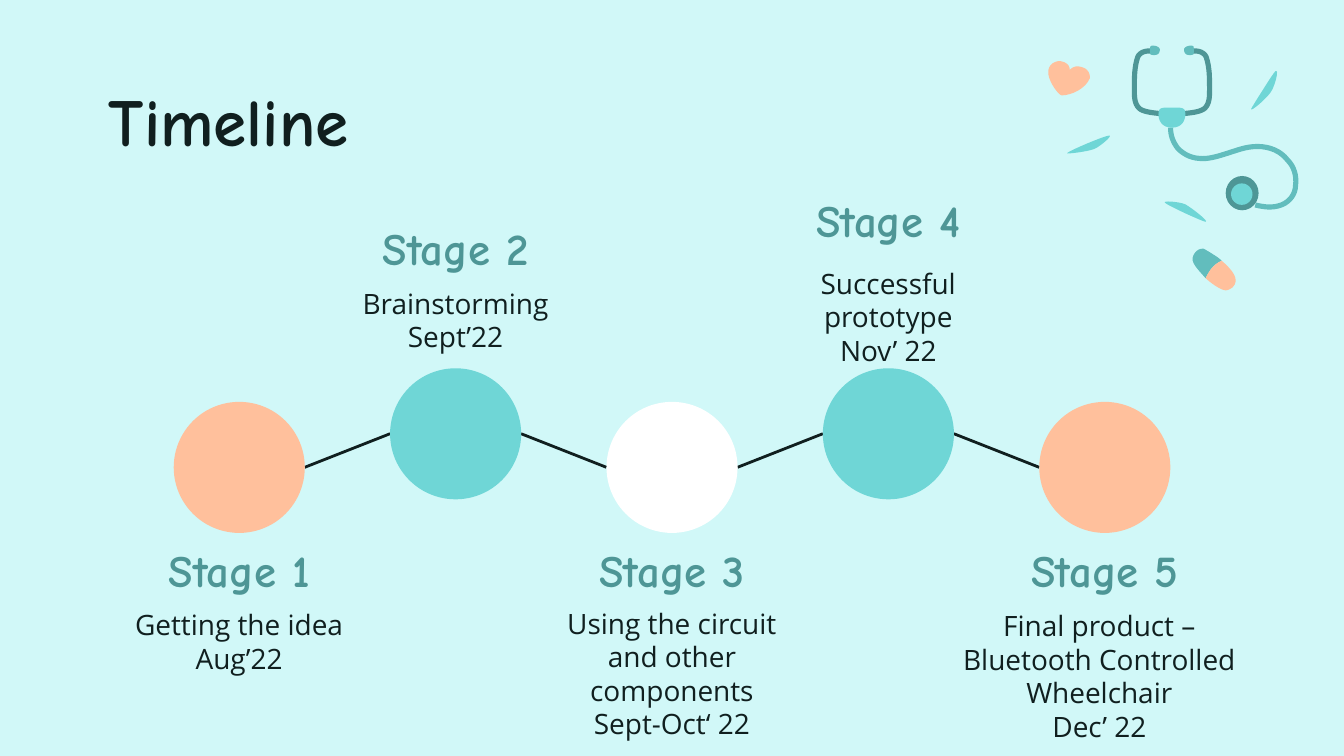
from lxml.etree import SubElement
from pptx import Presentation
from pptx.dml.color import RGBColor
from pptx.enum.shapes import MSO_CONNECTOR as CONN, MSO_SHAPE as SHAPE
from pptx.enum.text import MSO_ANCHOR as ANCHOR, PP_ALIGN as ALIGN
from pptx.oxml.ns import qn
from pptx.util import Inches, Pt

UNIT = Inches(0.01)
COLS, ROWS = 1000, 562.5
INK, TEAL, MID, DEEP, PEACH = "101F1F", "6FD6D6", "62BDBD", "4E9696", "FFC09C"
TITLE = dict(name="Comic Neue", size=Pt(36), bold=True)
HEADING = dict(name="Comic Neue", size=Pt(24), bold=True)
BODY = dict(name="Open Sans", size=Pt(15), bold=False)

STAGES = [
    (PEACH, 404, 442, 0, 200, ["Getting the idea", "Aug’22"]),
    (TEAL, 165, 203, 0, 200, ["Brainstorming", "Sept’22"]),
    ("FFFFFF", 404, 441, 0, 200, ["Using the circuit and other components", "Sept-Oct‘ 22"]),
    (TEAL, 144, 188, 0, 200, ["Successful prototype", "Nov’ 22"]),
    (PEACH, 404, 443, -4, 228, ["Final product –", "Bluetooth Controlled Wheelchair", "Dec’ 22"]),
]

HOSE = [(101, 65), (101, 71), (103, 76), (106.5, 80.5), (112, 86), (118, 88), (125, 88),
        (131, 88), (137, 86), (143.5, 84), (150, 82), (157, 79), (165.5, 79),
        (175, 79), (183, 82.5), (188, 89), (193, 94), (195, 101), (194, 108),
        (194, 114), (190, 120), (183.5, 122.5), (177, 125), (170, 124), (164, 122.5)]
EARPIECE = [(87, 8), (82, 7.5), (78, 9), (76.5, 12.5), (74, 20), (74, 28), (74, 36),
            (74, 42), (74, 47), (77.5, 50.5), (80, 53), (87, 54), (93, 54.5)]
EARTIP = [(88, 4), (87, 4), (87, 4), (86, 4.5), (85.5, 6), (85.5, 9), (86, 10.5),
          (87, 11), (88, 11), (89, 11), (92, 11), (93, 9), (93, 7), (93, 5), (90, 4), (88, 4)]
JOINT = [(102, 50), (94, 50), (92, 50), (92, 55), (92, 59), (94, 65), (102, 65),
         (110, 65), (112, 59), (112, 55), (112, 50), (110, 50), (102, 50)]
CHARMS = [
    (MID, [(125, 155), (120, 155), (118, 160), (118, 160), (115, 165), (122, 171), (127, 177),
           (129, 173), (132, 167), (139, 164), (136, 161), (132, 159), (129, 157),
           (127, 156), (126, 155), (125, 155)]),
    (PEACH, [(139, 164), (132, 167), (129, 173), (127, 177), (135, 184), (140, 186), (142, 186),
             (144, 186), (145, 185), (147, 184), (153, 178), (147, 171), (139, 164)]),
    (PEACH, [(35, 20), (32, 19), (29, 19), (26, 22), (26, 19), (24, 17), (21, 16),
             (16, 14), (9, 18), (10, 25), (11, 32), (18, 41), (20, 41),
             (27, 41), (38, 36), (41, 28), (41, 24), (39, 21), (35, 20)]),
    (TEAL, [(55, 71), (52, 71), (26, 82), (24, 84), (22, 85), (39, 83), (44, 81),
            (49, 79), (59, 70), (55, 71)]),
    (TEAL, [(179, 23), (177, 25), (162, 49), (161, 51), (160, 54), (173, 43), (176, 38),
            (179, 33), (182, 21), (179, 23)]),
    (TEAL, [(97, 121), (99, 123), (125, 135), (127, 135), (130, 135), (117, 125), (112, 122),
            (107, 120), (94, 119), (97, 121)]),
]


def rgb(value):
    """Turn a hex string into a colour."""
    return RGBColor.from_string(value)


def emu(*lengths):
    """Turn grid lengths into slide units."""
    return [round(n * UNIT) for n in lengths]


def write(sp, lines, style, color, align=ALIGN.CENTER, anchor=ANCHOR.TOP):
    """Fill a shape with formatted paragraphs."""
    tf = sp.text_frame
    frame = dict(word_wrap=True, vertical_anchor=anchor)
    frame.update({f"margin_{side}": Inches(0.1) for side in ("left", "top", "right", "bottom")})
    for key, value in frame.items():
        setattr(tf, key, value)
    for i, line in enumerate(lines):
        p = tf.paragraphs[0] if i == 0 else tf.add_paragraph()
        p.alignment, p.line_spacing = align, 1.0
        p.space_before = p.space_after = Pt(0)
        r = p.add_run()
        r.text = line
        r.font.color.rgb = rgb(color)
        for key, value in style.items():
            setattr(r.font, key, value)


def paint(sp, color):
    """Give a shape a plain fill with no outline or shadow."""
    sp.shadow.inherit = False
    sp.fill.solid()
    sp.fill.fore_color.rgb = rgb(color)
    sp.line.fill.background()


def disc(slide, color, *box):
    """Add a filled ellipse in a grid box."""
    sp = slide.shapes.add_shape(SHAPE.OVAL, *emu(*box))
    paint(sp, color)


def bezier_points(knots, steps=8):
    """Sample a chain of cubic curves."""
    points = [knots[0]]
    for i in range(0, len(knots) - 1, 3):
        for n in range(1, steps + 1):
            t = n / steps
            weights = ((1 - t) ** 3, 3 * t * (1 - t) ** 2, 3 * t * t * (1 - t), t ** 3)
            points.append(tuple(sum(w * k[axis] for w, k in zip(weights, knots[i:i + 4]))
                                for axis in (0, 1)))
    return points


def curve(slide, x, y, knots, color, width=None):
    """Draw a closed filled outline, or an open stroke when a width is given."""
    points = [emu(x + a, y + b) for a, b in bezier_points(knots)]
    builder = slide.shapes.build_freeform(*points[0], scale=1.0)
    builder.add_line_segments(points[1:], close=width is None)
    sp = builder.convert_to_shape()
    paint(sp, color)
    if width:
        sp.fill.background()
        sp.line.color.rgb = rgb(color)
        sp.line.width = Pt(width)


def mirror(knots, axis=102):
    """Reflect points across a vertical axis."""
    return [(2 * axis - a, b) for a, b in knots]


def add_medical_art(slide, x, y):
    """Draw the stethoscope and small ornaments from a top left corner."""
    curve(slide, x, y, HOSE, MID, 2.75)
    for side in (list, mirror):
        curve(slide, x, y, side(EARPIECE), DEEP, 2.75)
        curve(slide, x, y, side(EARTIP), MID)
    curve(slide, x, y, JOINT, TEAL)
    disc(slide, DEEP, x + 142, y + 101, 24.5, 25.5)
    disc(slide, TEAL, x + 146, y + 106.5, 16, 16)
    for color, knots in CHARMS:
        curve(slide, x, y, knots, color)


def add_title(slide, x, y, w, h):
    """Place the title placeholder."""
    sp = slide.shapes.title
    sp.left, sp.top, sp.width, sp.height = emu(x, y, w, h)
    write(sp, ["Timeline"], TITLE, INK, ALIGN.LEFT)


def add_link(slide, *ends):
    """Join two circles with a straight line."""
    line = slide.shapes.add_connector(CONN.STRAIGHT, *emu(*ends))
    line.line.color.rgb = rgb(INK)
    line.line.width = Pt(1.5)
    SubElement(line._element.spPr, qn("a:effectLst"))


def add_timeline(slide, x, y, pitch, size, rise):
    """Draw the zigzag of circles with a heading and text for each stage."""
    tops = [y - rise * (i % 2) for i in range(len(STAGES))]
    for i, (top, following) in enumerate(zip(tops, tops[1:])):
        left = x + i * pitch
        add_link(slide, left + size, top + size / 2, left + pitch, following + size / 2)
    for i, (color, head_y, body_y, shift, body_w, lines) in enumerate(STAGES):
        left = x + i * pitch
        mid = left + size / 2
        disc(slide, color, left, tops[i], size, size)
        sp = slide.shapes.add_textbox(*emu(mid - 100, head_y, 200, 39))
        write(sp, [f"Stage {i + 1}"], HEADING, DEEP, anchor=ANCHOR.MIDDLE)
        sp = slide.shapes.add_textbox(*emu(mid + shift - body_w / 2, body_y, body_w, 71))
        write(sp, lines, BODY, INK)


def main():
    """Build and save the slide."""
    prs = Presentation()
    prs.slide_width, prs.slide_height = emu(COLS, ROWS)
    slide = prs.slides.add_slide(prs.slide_layouts[5])
    slide.background.fill.solid()
    slide.background.fill.fore_color.rgb = rgb("D1F8F8")
    add_medical_art(slide, 770, 30)
    add_title(slide, 71, 49, 633, 63)
    add_timeline(slide, 129.25, 299, 161, 97.5, 25)
    prs.save("out.pptx")


if __name__ == "__main__":
    main()
